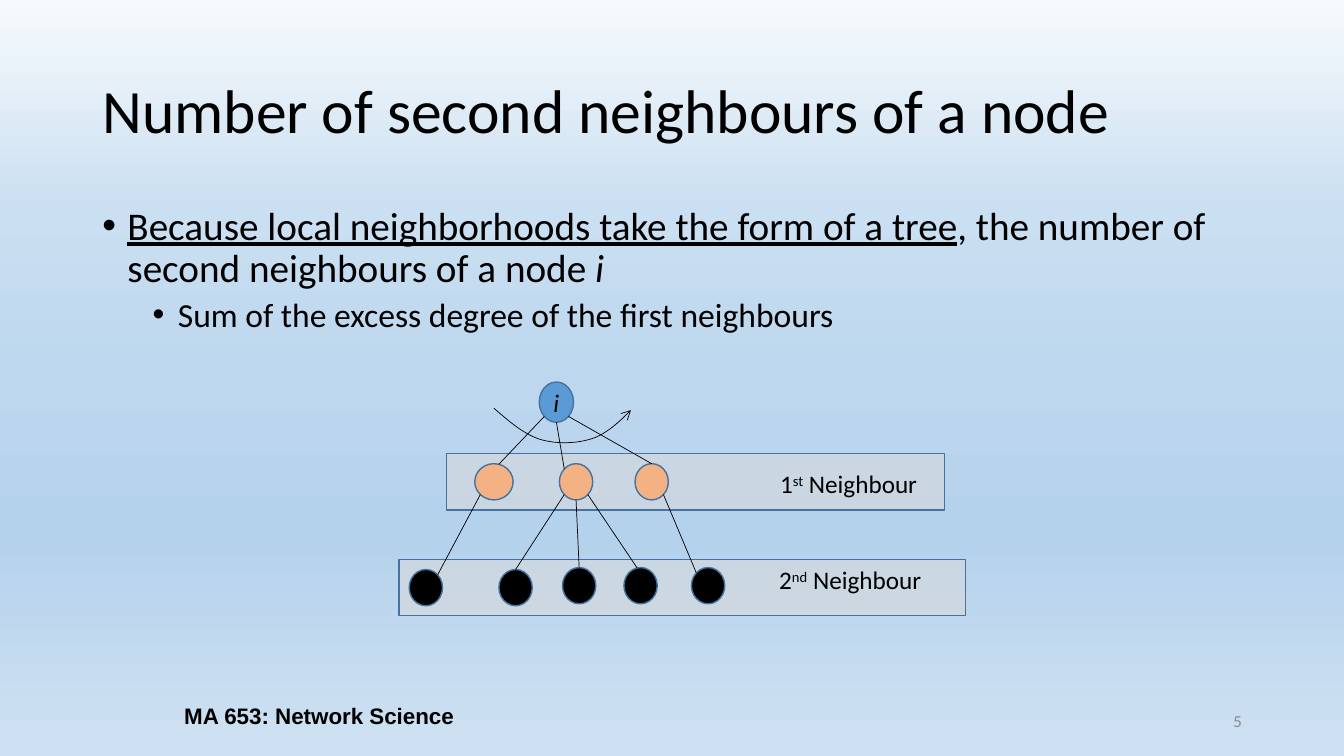
"""Build the slide on second neighbours of a node, with its tree diagram."""
from dataclasses import dataclass
from math import cos, radians, sin

from lxml.etree import SubElement
from pptx import Presentation
from pptx.dml.color import RGBColor
from pptx.enum.shapes import MSO_CONNECTOR as Connector, MSO_SHAPE as Shape
from pptx.enum.text import MSO_ANCHOR as Anchor, PP_ALIGN as Align
from pptx.oxml.ns import qn
from pptx.util import Pt

TITLE = "Number of second neighbours of a node"
BULLETS = [
    (0, [("Because local neighborhoods take the form of a tree", "underline"),
         (", the number of second neighbours of a node ", ""), ("i", "italic")]),
    (1, [("Sum of the excess degree of the first neighbours", "")]),
]
FOOTER = "MA 653: Network Science"
PAGE_NUMBER = "5"
BANDS = [(285.1, 399.6, 404.6, 40.3), (319, 324, 355.7, 40.3)]
LABELS = [(("1", "st", " Neighbour"), (548.6, 331.2, 115.2, 28.8)),
          (("2", "nd", " Neighbour"), (547.9, 399.6, 118.8, 28.8))]
NODES = {
    "root": ("root", (385.2, 272.9, 24.5, 28.8)),
    "left": ("first", (339.1, 331.2, 27.4, 25.9)),
    "middle": ("first", (399.6, 331.2, 23.8, 25.9)),
    "right": ("first", (453.6, 331.2, 23.8, 25.9)),
    "leaf 1": ("second", (292.3, 406.8, 23.8, 25.9)),
    "leaf 2": ("second", (356.4, 406.8, 23.8, 25.9)),
    "leaf 3": ("second", (401.8, 405.4, 23.8, 25.9)),
    "leaf 4": ("second", (445.7, 405.4, 23.8, 25.9)),
    "leaf 5": ("second", (493.9, 405.4, 23.8, 25.9)),
}
EDGES = [
    ("root", 225, "left", 75), ("root", 270, "middle", 135),
    ("root", 315, "right", 90), ("left", 225, "leaf 1", 45),
    ("middle", 225, "leaf 2", 90), ("middle", 270, "leaf 3", 90),
    ("middle", 315, "leaf 4", 102), ("right", 315, "leaf 5", 135),
]
SWEEP = [(352.8, 291.6), (363.6, 301), (374.4, 310.3), (385.9, 313.9),
         (398.2, 317.5), (412.6, 316.8), (423.4, 313.2),
         (433.4, 309.6), (442.1, 301.7), (450.7, 293)]


@dataclass(frozen=True)
class Theme:
    """Colours, fonts and type sizes of the slide."""
    ink: str = "000000"
    muted: str = "8C8C8C"
    outline: str = "43739E"
    band: str = "D9D9D9"
    band_opacity: int = 57
    root: str = "5B9BD5"
    first: str = "F4B183"
    second: str = "000000"
    backdrop: tuple = ((0, "F7FAFD"), (28, "CADFF1"), (49, "BDD7EE"),
                       (71, "B5D2EC"), (100, "CEE1F2"))
    font: str = "Calibri"
    footer_font: str = "Arial"
    title_size: int = 44
    body_sizes: tuple = (28, 24)
    label_size: int = 18
    footer_size: int = 16
    number_size: int = 12


THEME = Theme()


def points(values):
    return [Pt(value) for value in values]


def style(span, size, color=THEME.ink, name=THEME.font):
    span.font.size, span.font.name = Pt(size), name
    span.font.color.rgb = RGBColor.from_string(color)


def paint_backdrop(page):
    fill = page.background.fill
    fill.gradient()
    fill.gradient_angle = 270
    stops = page.element.find(".//" + qn("a:gsLst"))
    for stop in list(stops):
        stops.remove(stop)
    for position, color in THEME.backdrop:
        stop = SubElement(stops, qn("a:gs"), pos=str(position * 1000))
        SubElement(stop, qn("a:srgbClr"), val=color)


def add_title(page):
    title = page.shapes.title
    title.left, title.top, title.width, title.height = points((66, 28.8, 828, 104.4))
    title.text_frame.text = TITLE
    title.text_frame.vertical_anchor = Anchor.MIDDLE
    para = title.text_frame.paragraphs[0]
    para.alignment, para.line_spacing = Align.LEFT, 0.9
    style(para.runs[0], THEME.title_size)


def add_bullets(page):
    frame = page.shapes.add_textbox(*points((66, 144, 828, 342.7))).text_frame
    frame.word_wrap = True
    for index, (level, spans) in enumerate(BULLETS):
        para = frame.add_paragraph() if index else frame.paragraphs[0]
        props = para._p.get_or_add_pPr()
        props.set("marL", str(Pt(18 + 36 * level)))
        props.set("indent", str(Pt(-18)))
        SubElement(props, qn("a:buFont"), typeface="Arial")
        SubElement(props, qn("a:buChar"), char="•")
        para.level, para.line_spacing = level, 0.9
        para.space_before = Pt(5 if index else 0)
        for text, emphasis in spans:
            span = para.add_run()
            span.text = text
            style(span, THEME.body_sizes[level])
            if emphasis:
                setattr(span.font, emphasis, True)


def add_line_text(page, text, place, align, size, color, name):
    frame = page.shapes.add_textbox(*points(place)).text_frame
    frame.word_wrap, frame.vertical_anchor = True, Anchor.MIDDLE
    frame.text = text
    para = frame.paragraphs[0]
    para.alignment = align
    style(para.runs[0], size, color, name)
    return para.runs[0]


def add_figure(shapes, kind, place, color):
    figure = shapes.add_shape(kind, *points(place))
    figure.shadow.inherit = False
    figure.fill.solid()
    figure.fill.fore_color.rgb = RGBColor.from_string(color)
    figure.line.color.rgb = RGBColor.from_string(THEME.outline)
    figure.line.width = Pt(1)
    return figure


def rim(name, degrees):
    left, top, width, height = NODES[name][1]
    angle = radians(degrees)
    return points((left + width / 2 * (1 + cos(angle)),
                   top + height / 2 * (1 - sin(angle))))


def ink_line(line):
    line.color.rgb = RGBColor.from_string(THEME.ink)
    line.width = Pt(0.5)


def add_tree(page):
    shapes = page.shapes.add_group_shape().shapes
    for place in BANDS:
        band = add_figure(shapes, Shape.RECTANGLE, place, THEME.band)
        color = band.element.spPr.find(qn("a:solidFill"))[0]
        SubElement(color, qn("a:alpha"), val=str(THEME.band_opacity * 1000))
    for name, (role, place) in NODES.items():
        node = add_figure(shapes, Shape.OVAL, place, getattr(THEME, role))
        if role == "root":
            frame = node.text_frame
            frame.margin_left = frame.margin_right = 0
            frame.text, frame.vertical_anchor = "i", Anchor.MIDDLE
            para = frame.paragraphs[0]
            para.alignment = Align.CENTER
            style(para.runs[0], THEME.label_size)
            para.runs[0].font.italic = True
    for parent, leave, child, arrive in EDGES:
        edge = shapes.add_connector(Connector.STRAIGHT, *rim(parent, leave), *rim(child, arrive))
        ink_line(edge.line)
        SubElement(edge.element.spPr, qn("a:effectLst"))
    for parts, place in LABELS:
        frame = shapes.add_textbox(*points(place)).text_frame
        frame.word_wrap = False
        para = frame.paragraphs[0]
        para.alignment = Align.CENTER
        for index, text in enumerate(parts):
            span = para.add_run()
            span.text = text
            style(span, THEME.label_size)
            if index == 1:
                span._r.get_or_add_rPr().set("baseline", "30000")


def bezier(controls, t):
    weights = ((1 - t) ** 3, 3 * t * (1 - t) ** 2, 3 * t * t * (1 - t), t ** 3)
    return tuple(Pt(sum(w * c for w, c in zip(weights, axis))) for axis in zip(*controls))


def add_sweep(page):
    curve = [bezier(SWEEP[start:start + 4], step / 12)
             for start in (0, 3, 6) for step in range(1, 13)]
    builder = page.shapes.build_freeform(*points(SWEEP[0]))
    builder.add_line_segments(curve, close=False)
    sweep = builder.convert_to_shape()
    sweep.shadow.inherit = False
    sweep.fill.background()
    ink_line(sweep.line)
    SubElement(sweep.element.spPr.find(qn("a:ln")), qn("a:tailEnd"), type="arrow")


def main():
    deck = Presentation()
    deck.slide_width, deck.slide_height = points((960, 540))
    page = deck.slides.add_slide(deck.slide_layouts.get_by_name("Title Only"))
    paint_backdrop(page)
    add_title(page)
    add_bullets(page)
    add_line_text(page, PAGE_NUMBER, (678.2, 500.4, 216, 28.8), Align.RIGHT,
                  THEME.number_size, THEME.muted, THEME.font)
    footer = add_line_text(page, FOOTER, (66, 496.8, 324, 28.8), Align.CENTER,
                           THEME.footer_size, THEME.ink, THEME.footer_font)
    footer.font.bold = True
    add_tree(page)
    add_sweep(page)
    deck.save("out.pptx")


if __name__ == "__main__":
    main()
